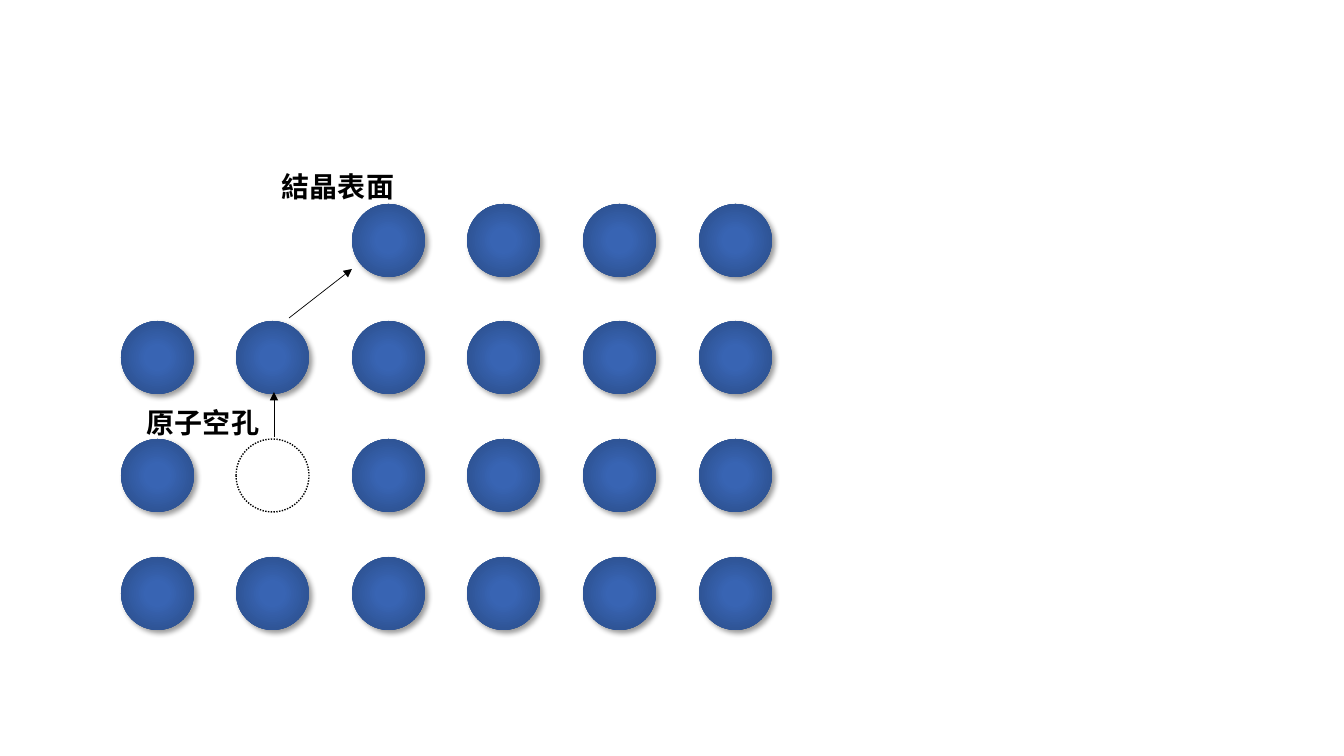
from itertools import product

from lxml.etree import SubElement
from pptx import Presentation
from pptx.dml.color import RGBColor
from pptx.enum.dml import MSO_LINE as Dash
from pptx.enum.shapes import MSO_CONNECTOR as Connector, MSO_SHAPE as Shape
from pptx.enum.text import MSO_AUTO_SIZE as AutoSize
from pptx.oxml import parse_xml
from pptx.oxml.ns import nsdecls, qn
from pptx.util import Emu, Pt

EMU_PER_PX = 914400 / 100.8
ROWS, COLUMNS = 4, 6
ATOM_SIZE = 73
VACANCY = (2, 1)
MISSING_FROM_SURFACE = {(0, 0), (0, 1)}


def px(length):
    return Emu(round(length * EMU_PER_PX))


def color(hex_code):
    return RGBColor.from_string(hex_code)


def lattice_site(row, column):
    """Return the left and top of a site in px."""
    return 121 + column * 578 // 5, 204 + row * 353 // 3


class CrystalSlide:
    FONT = "Noto Sans CJK JP"
    INK = "000000"
    ATOM_STOPS = ((0, "3864B3"), (23, "3864B3"), (69, "2F5597"), (97, "2C4F8C"))

    def __init__(self, presentation):
        self.shapes = presentation.slides.add_slide(presentation.slide_layouts[6]).shapes

    def circle(self, left, top):
        circle = self.shapes.add_shape(
            Shape.OVAL, px(left), px(top), px(ATOM_SIZE), px(ATOM_SIZE))
        circle.shadow.inherit = False
        return circle

    def atom(self, left, top):
        atom = self.circle(left, top)
        atom.line.fill.background()
        properties = atom._element.spPr
        stops = "".join(
            f'<a:gs pos="{position * 1000}"><a:srgbClr val="{shade}"/></a:gs>'
            for position, shade in self.ATOM_STOPS)
        properties.find(qn("a:prstGeom")).addnext(parse_xml(
            f'<a:gradFill {nsdecls("a")} rotWithShape="1"><a:gsLst>{stops}</a:gsLst>'
            '<a:path path="circle"><a:fillToRect l="50000" t="50000" r="50000" b="50000"/>'
            '</a:path></a:gradFill>'))
        properties.find(qn("a:effectLst")).append(parse_xml(
            f'<a:outerShdw {nsdecls("a")} blurRad="{Pt(4)}" dist="{Pt(3)}" dir="2700000" '
            f'algn="tl" rotWithShape="0"><a:srgbClr val="{self.INK}">'
            '<a:alpha val="40000"/></a:srgbClr></a:outerShdw>'))

    def vacancy(self, left, top):
        vacancy = self.circle(left, top)
        vacancy.fill.solid()
        vacancy.fill.fore_color.rgb = color("FFFFFF")
        vacancy.line.color.rgb = color(self.INK)
        vacancy.line.width = Pt(1)
        vacancy.line.dash_style = Dash.ROUND_DOT

    def arrow(self, start, end):
        arrow = self.shapes.add_connector(Connector.STRAIGHT, *map(px, start + end))
        arrow.line.color.rgb = color(self.INK)
        arrow.line.width = Pt(0.5)
        SubElement(arrow.line._get_or_add_ln(), qn("a:tailEnd"), type="triangle")
        SubElement(arrow._element.spPr, qn("a:effectLst"))

    def label(self, wording, left, top):
        frame = self.shapes.add_textbox(px(left), px(top), px(133), px(44)).text_frame
        frame.word_wrap = False
        frame.auto_size = AutoSize.SHAPE_TO_FIT_TEXT
        paragraph = frame.paragraphs[0]
        paragraph.text = wording
        font = paragraph.font
        font.name, font.size, font.bold = self.FONT, Pt(20), True
        font.color.rgb = color(self.INK)
        defaults = paragraph._p.pPr.find(qn("a:defRPr"))
        SubElement(defaults, qn("a:ea"), typeface=self.FONT)


def main():
    presentation = Presentation()
    presentation.slide_width, presentation.slide_height = px(1344), px(756)
    crystal = CrystalSlide(presentation)

    for site in product(range(ROWS), range(COLUMNS)):
        if site == VACANCY:
            crystal.vacancy(*lattice_site(*site))
        elif site not in MISSING_FROM_SURFACE:
            crystal.atom(*lattice_site(*site))

    crystal.arrow((289, 318), (352, 269))
    crystal.arrow((274, 437), (274, 392))
    crystal.label("原子空孔", 137, 401)
    crystal.label("結晶表面", 272, 165)
    presentation.save("out.pptx")


if __name__ == "__main__":
    main()
